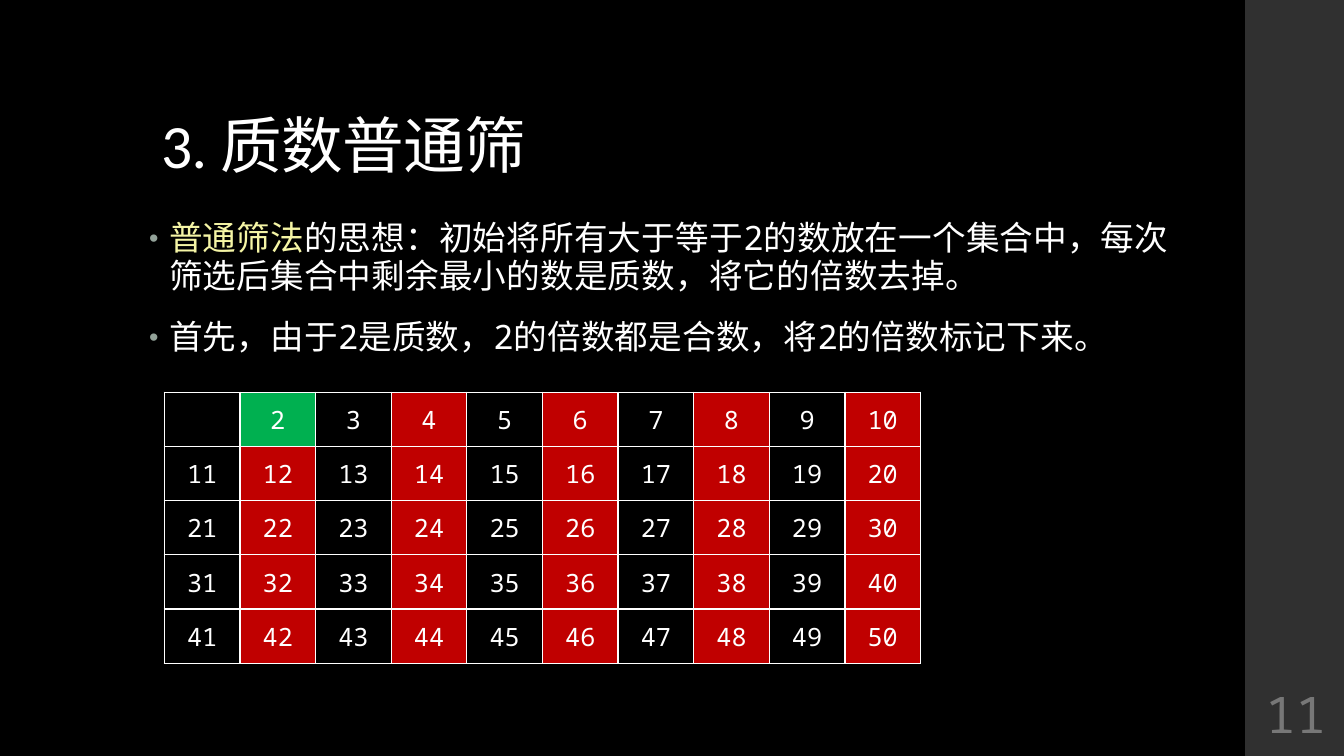
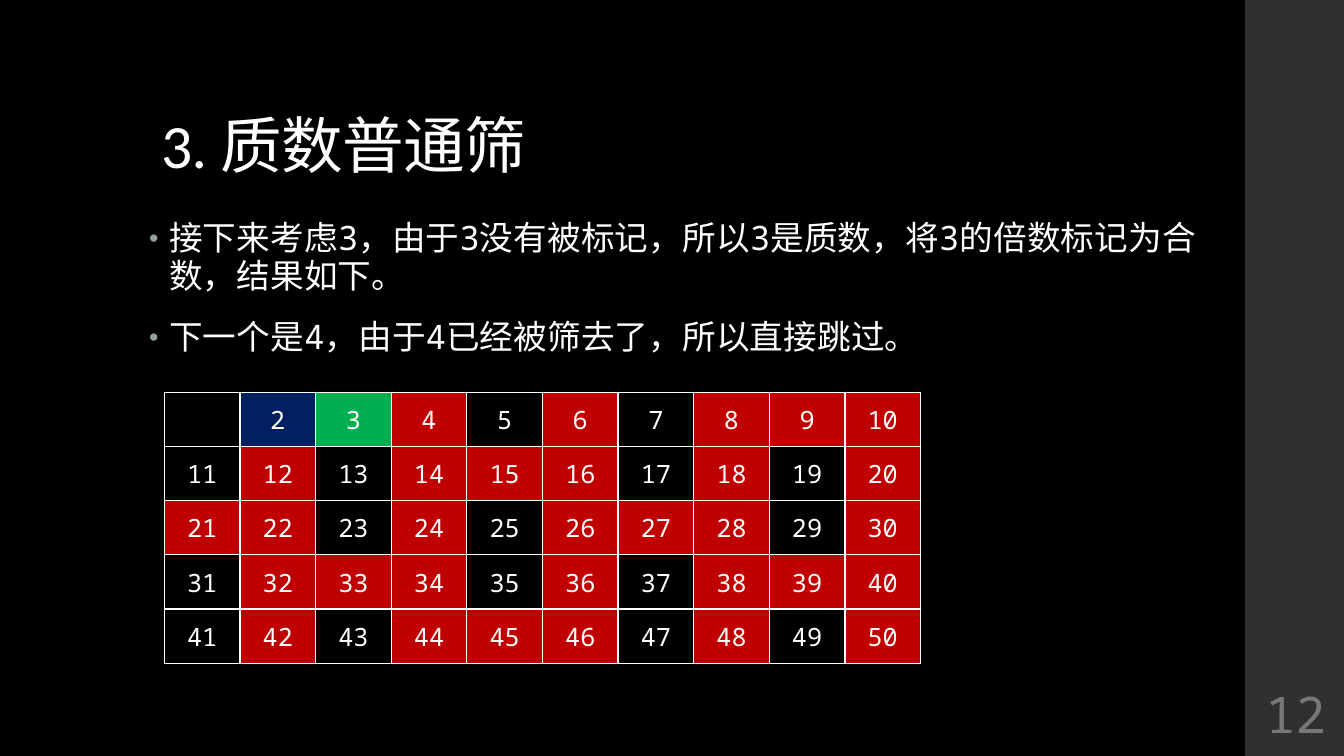
from dataclasses import dataclass

from lxml import etree
from pptx import Presentation
from pptx.dml.color import RGBColor
from pptx.enum.shapes import MSO_SHAPE
from pptx.enum.text import MSO_ANCHOR, PP_ALIGN
from pptx.oxml.ns import qn
from pptx.slide import Slide
from pptx.text.text import TextFrame, _Paragraph, _Run
from pptx.util import Inches, Pt

RECT = MSO_SHAPE.RECTANGLE
CENTER = PP_ALIGN.CENTER
TOP, MIDDLE, BOTTOM = MSO_ANCHOR.TOP, MSO_ANCHOR.MIDDLE, MSO_ANCHOR.BOTTOM


@dataclass(frozen=True)
class Theme:
    background: str = "000000"
    band: str = "303030"
    text: str = "FFFFFF"
    accent: str = "F5F5A5"
    bullet: str = "93A299"
    number: str = "777777"
    current_prime: str = "00B050"
    earlier_prime: str = "002060"
    composite: str = "C00000"
    title_font: str = "Calibri"
    body_font: str = "Noto Sans Mono"
    title_size: int = 44
    body_size: int = 24
    cell_size: int = 18
    number_size: int = 36


@dataclass(frozen=True)
class Box:
    left: float
    top: float
    width: float
    height: float

    def lengths(self) -> tuple[int, ...]:
        return tuple(Inches(v) for v in (self.left, self.top, self.width, self.height))


@dataclass(frozen=True)
class Bullet:
    text: str
    lead: str = ""


@dataclass(frozen=True)
class SieveSlide:
    number: int
    bullets: tuple[Bullet, ...]
    primes: tuple[int, ...]  # the last one is being sieved now


THEME = Theme()
TITLE = "3. 质数普通筛"
BAND_BOX = Box(12.35, 0, 1, 7.5)
TITLE_BOX = Box(1.5, 0.4, 10.35, 1.45)
BODY_BOX = Box(1.38, 2.13, 10.6, 4.76)
GRID_BOX = Box(1.63, 3.89, 7.5, 2.69)
NUMBER_BOX = Box(12.35, 6.75, 1, 0.65)
ROWS, COLS = 5, 10

SLIDES = (
    SieveSlide(11, (
        Bullet("的思想：初始将所有大于等于2的数放在一个集合中，每次筛选后集合中"
               "剩余最小的数是质数，将它的倍数去掉。", lead="普通筛法"),
        Bullet("首先，由于2是质数，2的倍数都是合数，将2的倍数标记下来。"),
    ), (2,)),
    SieveSlide(12, (
        Bullet("接下来考虑3，由于3没有被标记，所以3是质数，将3的倍数标记为合数，结果如下。"),
        Bullet("下一个是4，由于4已经被筛去了，所以直接跳过。"),
    ), (2, 3)),
)


def rgb(color: str) -> RGBColor:
    return RGBColor.from_string(color)


def style_run(r: _Run, size: int, color: str = THEME.text,
              font: str = THEME.body_font, spacing: float = 0) -> None:
    r.font.size = Pt(size)
    r.font.name = font
    r.font.color.rgb = rgb(color)
    if spacing:
        r.font._element.set("spc", str(round(spacing * 100)))


def add_text_frame(s: Slide, box: Box, anchor: MSO_ANCHOR) -> TextFrame:
    tf = s.shapes.add_textbox(*box.lengths()).text_frame
    tf.word_wrap = True
    tf.vertical_anchor = anchor
    return tf


# Parts that every slide shares
def add_frame(s: Slide, number: int) -> None:
    band = s.shapes.add_shape(RECT, *BAND_BOX.lengths())
    band.shadow.inherit = False
    band.fill.solid()
    band.fill.fore_color.rgb = rgb(THEME.band)
    band.line.fill.background()

    tf = add_text_frame(s, TITLE_BOX, BOTTOM)
    tf.text = TITLE
    p = tf.paragraphs[0]
    p.line_spacing = 0.9
    style_run(p.runs[0], THEME.title_size, font=THEME.title_font, spacing=-0.5)

    tf = add_text_frame(s, NUMBER_BOX, MIDDLE)
    tf.margin_left = tf.margin_right = tf.margin_top = tf.margin_bottom = Inches(0.05)
    tf.text = str(number)
    p = tf.paragraphs[0]
    p.alignment = CENTER
    style_run(p.runs[0], THEME.number_size, THEME.number)


# Bulleted text
def set_bullet(p: _Paragraph) -> None:
    p.line_spacing = 0.95
    p.space_before, p.space_after = Pt(14), Pt(2)
    pPr = p._p.get_or_add_pPr()
    pPr.set("marL", str(Inches(0.2)))
    pPr.set("indent", str(-Inches(0.2)))
    color = etree.SubElement(pPr, qn("a:buClr"))
    etree.SubElement(color, qn("a:srgbClr"), val=THEME.bullet)
    etree.SubElement(pPr, qn("a:buSzPct"), val="80000")
    etree.SubElement(pPr, qn("a:buFont"), typeface="Arial")
    etree.SubElement(pPr, qn("a:buChar"), char="•")


def add_bullets(s: Slide, bullets: tuple[Bullet, ...]) -> None:
    tf = add_text_frame(s, BODY_BOX, TOP)
    for i, bullet in enumerate(bullets):
        p = tf.add_paragraph() if i else tf.paragraphs[0]
        set_bullet(p)
        for text, color in ((bullet.lead, THEME.accent), (bullet.text, THEME.text)):
            if text:
                r = p.add_run()
                r.text = text
                style_run(r, THEME.body_size, color, spacing=0.1)


# Number grid
def cell_color(n: int, primes: tuple[int, ...]) -> str:
    if n == primes[-1]:
        return THEME.current_prime
    if n in primes:
        return THEME.earlier_prime
    if any(n % prime == 0 for prime in primes):
        return THEME.composite
    return THEME.background


def add_borders(tcPr: etree._Element) -> None:
    for side in ("lnL", "lnR", "lnT", "lnB"):
        line = etree.SubElement(tcPr, qn(f"a:{side}"), w=str(Pt(1)))
        fill = etree.SubElement(line, qn("a:solidFill"))
        etree.SubElement(fill, qn("a:srgbClr"), val=THEME.text)


def add_sieve_grid(s: Slide, primes: tuple[int, ...]) -> None:
    table = s.shapes.add_table(ROWS, COLS, *GRID_BOX.lengths()).table
    table.first_row = table.horz_banding = False
    for n, cell in enumerate(table.iter_cells(), start=1):
        add_borders(cell._tc.get_or_add_tcPr())
        cell.fill.solid()
        cell.fill.fore_color.rgb = rgb(cell_color(n, primes))
        if n == 1:  # 1 is not part of the sieve
            continue
        cell.vertical_anchor = MIDDLE
        cell.margin_left = cell.margin_right = cell.margin_top = Inches(0.01)
        cell.margin_bottom = 0
        cell.text_frame.text = str(n)
        p = cell.text_frame.paragraphs[0]
        p.alignment = CENTER
        style_run(p.runs[0], THEME.cell_size)


# Build the deck
prs = Presentation()
prs.slide_width, prs.slide_height = Inches(13.33), Inches(7.5)
background = prs.slide_master.background.fill
background.solid()
background.fore_color.rgb = rgb(THEME.background)
for content in SLIDES:
    s = prs.slides.add_slide(prs.slide_layouts[6])
    add_frame(s, content.number)
    add_bullets(s, content.bullets)
    add_sieve_grid(s, content.primes)
prs.save("out.pptx")
